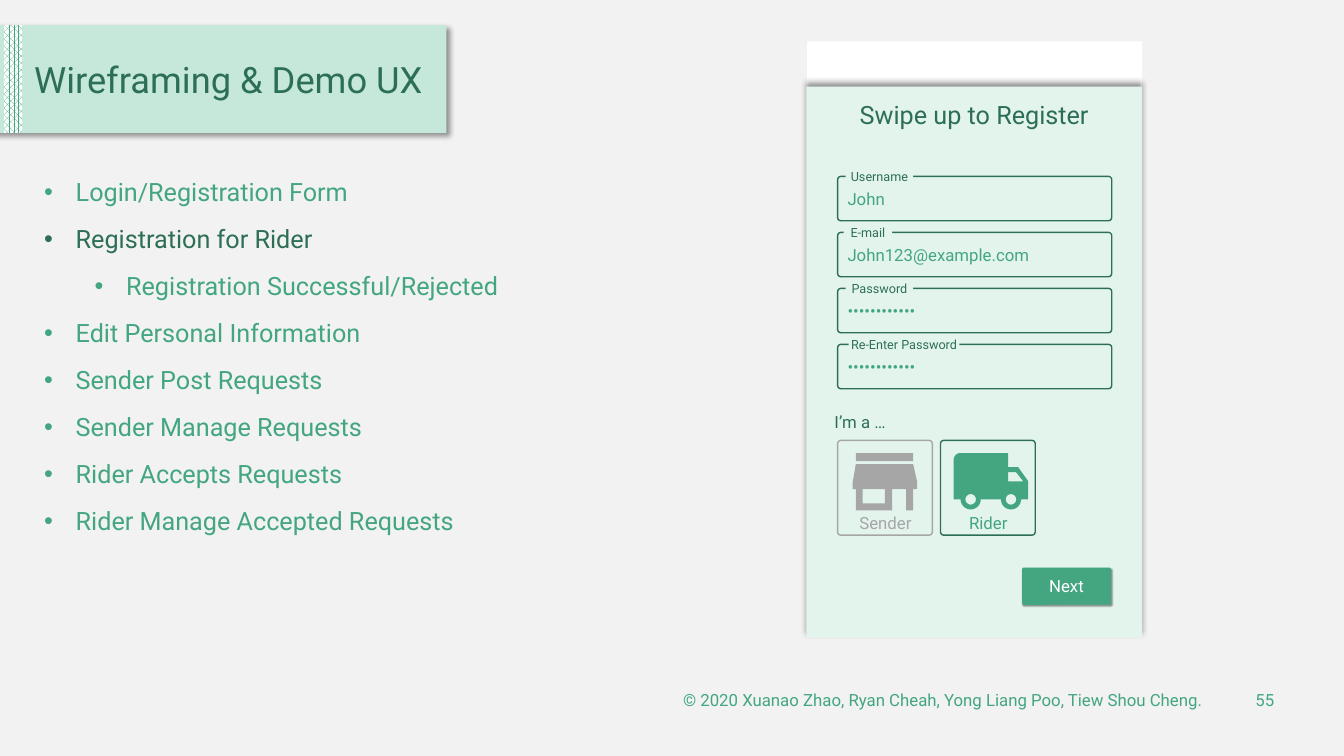
from dataclasses import dataclass
from math import cos, radians, sin

from lxml import etree
from pptx import Presentation
from pptx.dml.color import RGBColor
from pptx.enum import dml, shapes as kinds, text as types
from pptx.oxml import ns
from pptx.util import Pt


@dataclass(frozen=True)
class Theme:
    font: str = "Roboto"
    page: str = "F2F2F2"
    banner: str = "C6E8DB"
    panel: str = "E3F4ED"
    dark: str = "2D6F55"
    green: str = "43A680"
    grey: str = "A6A6A6"
    white: str = "FFFFFF"
    title: float = 25.9
    body: float = 18
    small: float = 12
    label: float = 9


THEME = Theme()
LEFT, CENTER, RIGHT = types.PP_ALIGN.LEFT, types.PP_ALIGN.CENTER, types.PP_ALIGN.RIGHT
TOP, MIDDLE = types.MSO_ANCHOR.TOP, types.MSO_ANCHOR.MIDDLE

# Bullet text, level, colour
TOPICS = [
    ("Login/Registration Form", 0, THEME.green),
    ("Registration for Rider", 0, THEME.dark),
    ("Registration Successful/Rejected", 1, THEME.green),
    ("Edit Personal Information", 0, THEME.green),
    ("Sender Post Requests", 0, THEME.green),
    ("Sender Manage Requests", 0, THEME.green),
    ("Rider Accepts Requests", 0, THEME.green),
    ("Rider Manage Accepted Requests", 0, THEME.green),
]

# Label, label offset, label width, value, value width
FIELDS = [
    ("Username", 5.8, 48.2, "John", 192.2),
    ("E-mail", 4.3, 34.6, "John123@example.com", 192.2),
    ("Password", 5.8, 48.2, "•" * 12, 73.4),
    ("Re-Enter Password", 7.9, 79.2, "•" * 12, 118.8),
]


def arc(x, y, radius, start, end, steps=16):
    angles = [radians(start + (end - start) * i / steps) for i in range(steps + 1)]
    return [(x + radius * cos(a), y + radius * sin(a)) for a in angles]


# Icon outlines, in points from the icon's top left corner
STORE = [
    [(43.2, 0), (2.2, 0), (2.2, 5.8), (43.2, 5.8)],
    [(46.1, 25.9), (46.1, 20.9), (43.2, 7.9), (2.2, 7.9), (0, 20.9), (0, 25.9),
     (2.2, 25.9), (2.2, 41), (28.1, 41), (28.1, 25.9), (38.2, 25.9), (38.2, 41),
     (43.2, 41), (43.2, 25.9)],
    [(23, 36), (7.2, 36), (7.2, 25.9), (23, 25.9)],
]
WHEELS, AXLE = (12.2, 41), 33.1
TRUCK = [
    [(46.1, 10.1), (38.9, 10.1), (38.9, 0), *arc(5, 5, 5, 270, 180), (0, AXLE),
     *[point for x in WHEELS for point in arc(x, AXLE, 7.2, 180, 0)],
     (53.3, AXLE), (53.3, 20.2)],
    [(44.6, 13.7), (49.7, 20.2), (38.9, 20.2), (38.9, 13.7)],
    *[arc(x, AXLE, 3.8, 0, 360) for x in WHEELS],
]


def rgb(color):
    return RGBColor.from_string(color)


def paint(shape, fill=None, line=None):
    shape.shadow.inherit = False
    if fill:
        shape.fill.solid()
        shape.fill.fore_color.rgb = rgb(fill)
    else:
        shape.fill.background()
    if line:
        shape.line.color.rgb = rgb(line)
        shape.line.width = Pt(1)
    else:
        shape.line.fill.background()


def add_box(shapes, left, top, width, height, fill=None, line=None, corner=None):
    kind = kinds.MSO_SHAPE.RECTANGLE if corner is None else kinds.MSO_SHAPE.ROUNDED_RECTANGLE
    shape = shapes.add_shape(kind, Pt(left), Pt(top), Pt(width), Pt(height))
    if corner is not None:
        shape.adjustments[0] = corner
    paint(shape, fill, line)
    return shape


def add_shadow(shape, blur, distance, angle):
    effects = shape._element.spPr.find(ns.qn("a:effectLst"))
    shadow = etree.SubElement(effects, ns.qn("a:outerShdw"), blurRad=str(Pt(blur)),
                              dist=str(Pt(distance)), dir=str(angle * 60000),
                              algn="ctr", rotWithShape="0")
    color = etree.SubElement(shadow, ns.qn("a:srgbClr"), val="000000")
    etree.SubElement(color, ns.qn("a:alpha"), val="40000")


def add_icon(shapes, left, top, contours, fill):
    placed = [[(Pt(left + x), Pt(top + y)) for x, y in contour] for contour in contours]
    builder = shapes.build_freeform(*placed[0][0])
    for number, contour in enumerate(placed):
        if number:
            builder.move_to(*contour[0])
        builder.add_line_segments(contour[1:], close=True)
    paint(builder.convert_to_shape(), fill)


def add_run(paragraph, words, size, color):
    run = paragraph.add_run()
    run.text = words
    run.font.name = THEME.font
    run.font.size = Pt(size)
    run.font.color.rgb = rgb(color)


def add_text(shapes, left, top, width, height, words, color, size=THEME.small,
             align=LEFT, anchor=TOP):
    box = shapes.add_textbox(Pt(left), Pt(top), Pt(width), Pt(height))
    box.text_frame.word_wrap = True
    box.text_frame.vertical_anchor = anchor
    paragraph = box.text_frame.paragraphs[0]
    paragraph.alignment = align
    add_run(paragraph, words, size, color)
    return paragraph


def add_bullets(shapes, left, top, width, height, items):
    frame = shapes.add_textbox(Pt(left), Pt(top), Pt(width), Pt(height)).text_frame
    frame.word_wrap = True
    for number, (words, level, color) in enumerate(items):
        paragraph = frame.add_paragraph() if number else frame.paragraphs[0]
        paragraph.level = level
        paragraph.space_before = Pt(12)
        add_run(paragraph, words, THEME.body, color)
        properties = paragraph._p.get_or_add_pPr()
        properties.set("marL", str(Pt(22.5 + 36 * level)))
        properties.set("indent", str(Pt(-22.5)))
        etree.SubElement(properties, ns.qn("a:buFont"), typeface="Arial")
        etree.SubElement(properties, ns.qn("a:buChar"), char="•")


def add_field(shapes, left, top, label, offset, label_width, value, value_width):
    add_box(shapes, left, top, 195.8, 31.7, line=THEME.dark, corner=0.075)
    tag = add_box(shapes, left + offset, top - 4.9, label_width, 9.4, THEME.panel)
    frame = tag.text_frame
    frame.word_wrap = False
    frame.vertical_anchor = MIDDLE
    frame.margin_left = frame.margin_right = frame.margin_top = frame.margin_bottom = Pt(2.9)
    frame.paragraphs[0].alignment = CENTER
    add_run(frame.paragraphs[0], label, THEME.label, THEME.dark)
    add_text(shapes, left, top + 5, value_width, 21.6, value, THEME.green)


def add_role(shapes, left, top, words, contours, inset, color, line):
    group = shapes.add_group_shape().shapes
    add_box(group, left, top, 67.7, 67.7, line=line, corner=0.034)
    add_icon(group, left + inset, top + 9, contours, color)
    add_text(group, left + 7.9, top + 53.3, 52.6, 10.8, words, color,
             align=CENTER, anchor=MIDDLE)


def main():
    presentation = Presentation()
    presentation.slide_width, presentation.slide_height = Pt(960), Pt(540)
    slide = presentation.slides.add_slide(presentation.slide_layouts[6])
    slide.background.fill.solid()
    slide.background.fill.fore_color.rgb = rgb(THEME.page)
    shapes = slide.shapes

    # Title banner
    add_shadow(add_box(shapes, -15.1, 18, 334.1, 77, THEME.banner), 4, 3, 45)
    strip = add_box(shapes, 2.9, 18, 13, 77, THEME.green)
    strip.fill.patterned()
    strip.fill.pattern = dml.MSO_PATTERN.PERCENT_70
    strip.fill.fore_color.rgb = rgb(THEME.green)
    strip.fill.back_color.rgb = rgb(THEME.white)
    title = add_text(shapes, 17.3, 29.5, 300.2, 58.3, "Wireframing & Demo UX",
                     THEME.dark, THEME.title, anchor=MIDDLE)
    title.line_spacing = 0.9

    # Topic list
    add_bullets(shapes, 24.5, 122.4, 359.3, 266.4, TOPICS)

    # Phone screen
    add_box(shapes, 576.5, 29.5, 239.3, 426, THEME.white)
    add_shadow(add_box(shapes, 576, 61.9, 239.8, 393.6, THEME.panel), 4, 3, 270)
    add_text(shapes, 576, 67.7, 239.8, 28.8, "Swipe up to Register",
             THEME.dark, THEME.body, CENTER)

    # Registration form
    for row, field in enumerate(FIELDS):
        add_field(shapes, 598.3, 126 + 40 * row, *field)

    # Role choice
    add_text(shapes, 589, 290.9, 184.3, 21.6, "I’m a …", THEME.dark)
    add_role(shapes, 598.3, 314.6, "Sender", STORE, 10.8, THEME.grey, THEME.grey)
    add_role(shapes, 671.8, 314.6, "Rider", TRUCK, 9.4, THEME.green, THEME.dark)

    # Next button
    button = shapes.add_group_shape().shapes
    add_shadow(add_box(button, 730.1, 405.4, 63.4, 26.6, THEME.green, corner=0.046), 1, 1, 45)
    add_text(button, 730.1, 407.5, 63.4, 21.6, "Next", THEME.white, align=CENTER)

    # Footer
    add_text(shapes, 391.7, 485.3, 474.5, 28.8,
             "© 2020 Xuanao Zhao, Ryan Cheah, Yong Liang Poo, Tiew Shou Cheng.",
             THEME.green, align=RIGHT, anchor=MIDDLE)
    add_text(shapes, 874.8, 485.3, 42.5, 28.8, "55", THEME.green, align=RIGHT, anchor=MIDDLE)

    presentation.save("out.pptx")


if __name__ == "__main__":
    main()
